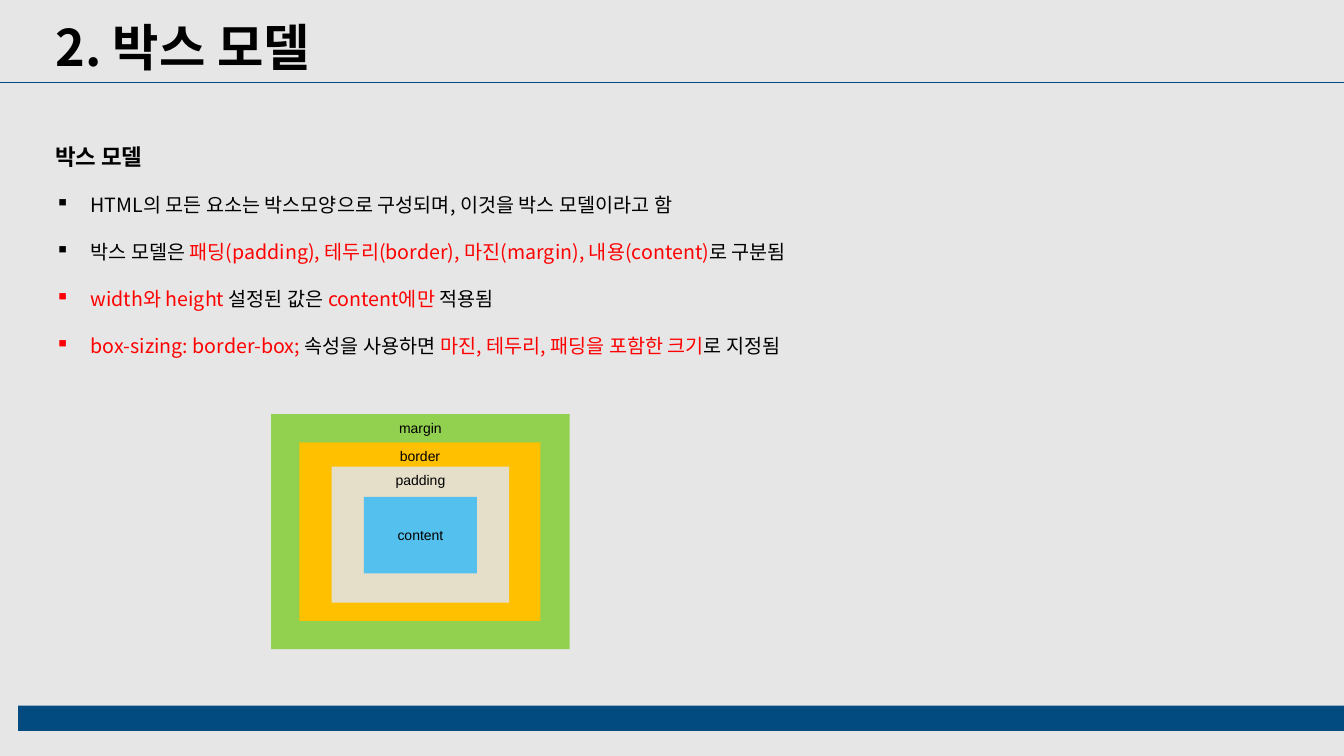
from lxml import etree
from pptx import Presentation
from pptx.dml.color import RGBColor
from pptx.enum.shapes import MSO_CONNECTOR as Connector, MSO_SHAPE as Shape
from pptx.enum.text import MSO_ANCHOR as Anchor, MSO_AUTO_SIZE as AutoSize, PP_ALIGN as Align
from pptx.oxml.ns import qn
from pptx.util import Inches, Pt

BLACK, RED, NAVY = "000000", "FF0000", "024B80"


def color(value):
    return RGBColor.from_string(value)


class SlideBuilder:
    body_font = "Noto Sans CJK KR"
    label_font = "Arial"
    indent = 0.35

    def __init__(self, page, background):
        self.page = page
        page.background.fill.solid()
        page.background.fill.fore_color.rgb = color(background)

    def style(self, span, size, font, ink=BLACK, bold=False):
        span.font.size = Pt(size)
        span.font.bold = bold
        span.font.color.rgb = color(ink)
        span.font.name = font
        east_asian = etree.SubElement(span.font._element, qn("a:ea"))
        east_asian.set("typeface", font)

    def rectangle(self, left, top, width, height, fill, label="", anchor=Anchor.TOP):
        box = self.page.shapes.add_shape(
            Shape.RECTANGLE, Inches(left), Inches(top), Inches(width), Inches(height))
        box.shadow.inherit = False
        box.fill.solid()
        box.fill.fore_color.rgb = color(fill)
        box.line.fill.background()
        if label:
            frame = box.text_frame
            frame.text = label
            frame.vertical_anchor = anchor
            para = frame.paragraphs[0]
            para.alignment = Align.CENTER
            self.style(para.runs[0], 10, self.label_font)

    def line(self, left, top, right, bottom, ink, width):
        rule = self.page.shapes.add_connector(
            Connector.STRAIGHT, Inches(left), Inches(top), Inches(right), Inches(bottom))
        rule.line.color.rgb = color(ink)
        rule.line.width = Pt(width)
        etree.SubElement(rule._element.spPr, qn("a:effectLst"))

    def heading(self, left, top, width, height, text, size, line_spacing=None):
        box = self.page.shapes.add_textbox(
            Inches(left), Inches(top), Inches(width), Inches(height))
        frame = box.text_frame
        frame.word_wrap = True
        frame.auto_size = AutoSize.SHAPE_TO_FIT_TEXT
        frame.text = text
        para = frame.paragraphs[0]
        para.line_spacing = line_spacing
        self.style(para.runs[0], size, self.body_font, bold=True)
        return frame

    def bullet(self, frame, parts, size, line_spacing):
        para = frame.add_paragraph()
        para.line_spacing = line_spacing
        properties = para._p.get_or_add_pPr()
        properties.set("marL", str(Inches(self.indent)))
        properties.set("indent", str(-Inches(self.indent)))
        etree.SubElement(properties, qn("a:buChar")).set("char", "▪")
        for text, ink in parts:
            span = para.add_run()
            span.text = text
            self.style(span, size, self.body_font, ink)


def main():
    deck = Presentation()
    deck.slide_width, deck.slide_height = Inches(13.33), Inches(7.5)
    builder = SlideBuilder(deck.slides.add_slide(deck.slide_layouts[6]), "E7E6E6")

    for layer in (
        (2.69, 4.11, 2.96, 2.33, "92D050", "margin"),
        (2.97, 4.39, 2.39, 1.77, "FFC000", "border"),
        (3.29, 4.63, 1.76, 1.35, "E5DEC8", "padding"),
        (3.61, 4.93, 1.12, 0.76, "53C0ED", "content", Anchor.MIDDLE),
    ):
        builder.rectangle(*layer)

    builder.rectangle(0.18, 7, 13.15, 0.25, NAVY)
    builder.heading(0.45, 0.11, 8.71, 0.71, "2. 박스 모델", 36)
    builder.line(0, 0.82, 13.33, 0.82, NAVY, 0.5)

    body = builder.heading(0.45, 1.1, 9.1, 2.45, "박스 모델", 16, line_spacing=2.0)
    bullets = (
        [("HTML의 모든 요소는 박스모양으로 구성되며, 이것을 박스 모델이라고 함", BLACK)],
        [("박스 모델은 ", BLACK),
         ("패딩(padding), 테두리(border), 마진(margin), 내용(content)", RED),
         ("로 구분됨", BLACK)],
        [("width와 height", RED), (" 설정된 값은 ", BLACK),
         ("content에만 ", RED), ("적용됨", BLACK)],
        [("box-sizing: border-box; ", RED), ("속성을 사용하면 ", BLACK),
         ("마진, 테두리, 패딩을 포함한 크기", RED), ("로 지정됨", BLACK)],
    )
    for parts in bullets:
        builder.bullet(body, parts, 14, 2.0)

    deck.save("out.pptx")


if __name__ == "__main__":
    main()
